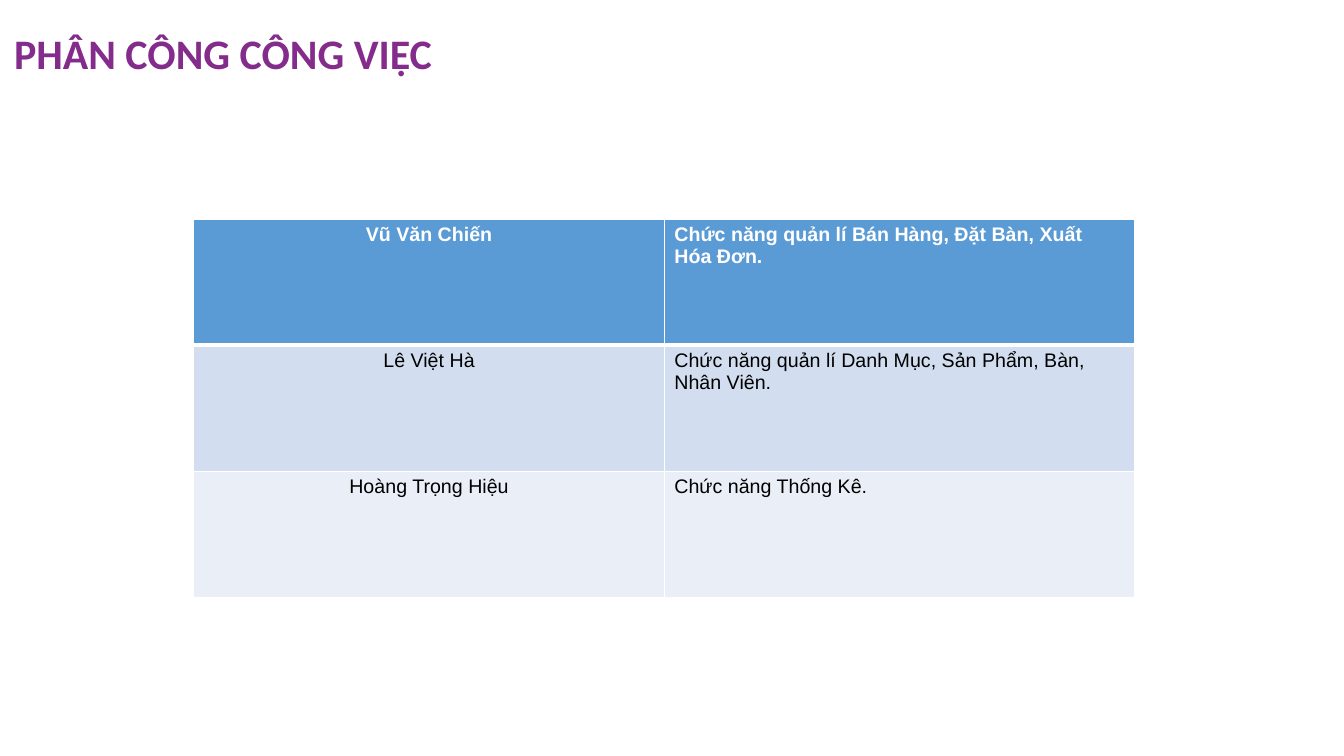
from dataclasses import dataclass

from lxml.etree import SubElement
from pptx import Presentation
from pptx.dml.color import RGBColor
from pptx.enum.text import MSO_ANCHOR, PP_ALIGN
from pptx.oxml.ns import qn
from pptx.slide import Slide
from pptx.table import _Cell
from pptx.text.text import TextFrame
from pptx.util import Pt


@dataclass(frozen=True)
class Theme:
    purple: str = "832C8B"
    white: str = "FFFFFF"
    black: str = "000000"
    header: str = "5B9BD5"
    bands: tuple[str, str] = ("D2DEEF", "EAEFF7")
    title_font: str = "Calibri"
    body_font: str = "Arial"
    title_size: int = 30
    body_size: int = 14
    thin: int = 1
    thick: int = 3


@dataclass(frozen=True)
class Assignment:
    member: str
    task: str


THEME = Theme()
ASSIGNMENTS = [
    Assignment("Vũ Văn Chiến", "Chức năng quản lí Bán Hàng, Đặt Bàn, Xuất Hóa Đơn."),
    Assignment("Lê Việt Hà", "Chức năng quản lí Danh Mục, Sản Phẩm, Bàn, Nhân Viên."),
    Assignment("Hoàng Trọng Hiệu", "Chức năng Thống Kê."),
]


def write(tf: TextFrame, text: str, color: str, align: PP_ALIGN, font: dict) -> None:
    p = tf.paragraphs[0]
    p.alignment = align
    r = p.add_run()
    r.text = text
    for name, value in font.items():
        setattr(r.font, name, value)
    r.font.color.rgb = RGBColor.from_string(color)


def set_borders(cell: _Cell, top: int, bottom: int) -> None:
    tcPr = cell._tc.get_or_add_tcPr()
    widths = {"a:lnL": THEME.thin, "a:lnR": THEME.thin, "a:lnT": top, "a:lnB": bottom}
    for tag, width in widths.items():
        ln = SubElement(tcPr, qn(tag), w=str(Pt(width)))
        fill = SubElement(ln, qn("a:solidFill"))
        SubElement(fill, qn("a:srgbClr"), val=THEME.white)


def add_title(s: Slide, text: str) -> None:
    tf = s.shapes.add_textbox(Pt(3), Pt(0), Pt(828), Pt(80.5)).text_frame
    layout = {"word_wrap": True, "vertical_anchor": MSO_ANCHOR.MIDDLE}
    layout |= {f"margin_{side}": Pt(7.2) for side in ("left", "top", "right", "bottom")}
    for name, value in layout.items():
        setattr(tf, name, value)
    font = {"name": THEME.title_font, "size": Pt(THEME.title_size), "bold": True}
    write(tf, text, THEME.purple, PP_ALIGN.LEFT, font)
    tf.paragraphs[0].line_spacing = 0.9


def add_assignments(s: Slide, rows: list[Assignment]) -> None:
    table = s.shapes.add_table(len(rows), 2, Pt(138.5), Pt(156.5), Pt(672), Pt(270)).table
    for i, row in enumerate(rows):
        is_header = i == 0
        fill = THEME.header if is_header else THEME.bands[(i - 1) % 2]
        color = THEME.white if is_header else THEME.black
        font = {"name": THEME.body_font, "size": Pt(THEME.body_size), "bold": is_header}
        top = THEME.thick if i == 1 else THEME.thin
        bottom = THEME.thick if is_header else THEME.thin
        columns = ((row.member, PP_ALIGN.CENTER), (row.task, PP_ALIGN.LEFT))
        for j, (text, align) in enumerate(columns):
            cell = table.cell(i, j)
            set_borders(cell, top, bottom)
            cell.fill.solid()
            cell.fill.fore_color.rgb = RGBColor.from_string(fill)
            write(cell.text_frame, text, color, align, font)


def main() -> None:
    prs = Presentation()
    prs.slide_width, prs.slide_height = Pt(960), Pt(540)
    s = prs.slides.add_slide(prs.slide_layouts[6])
    add_title(s, "PHÂN CÔNG CÔNG VIỆC")
    add_assignments(s, ASSIGNMENTS)
    prs.save("out.pptx")


if __name__ == "__main__":
    main()
